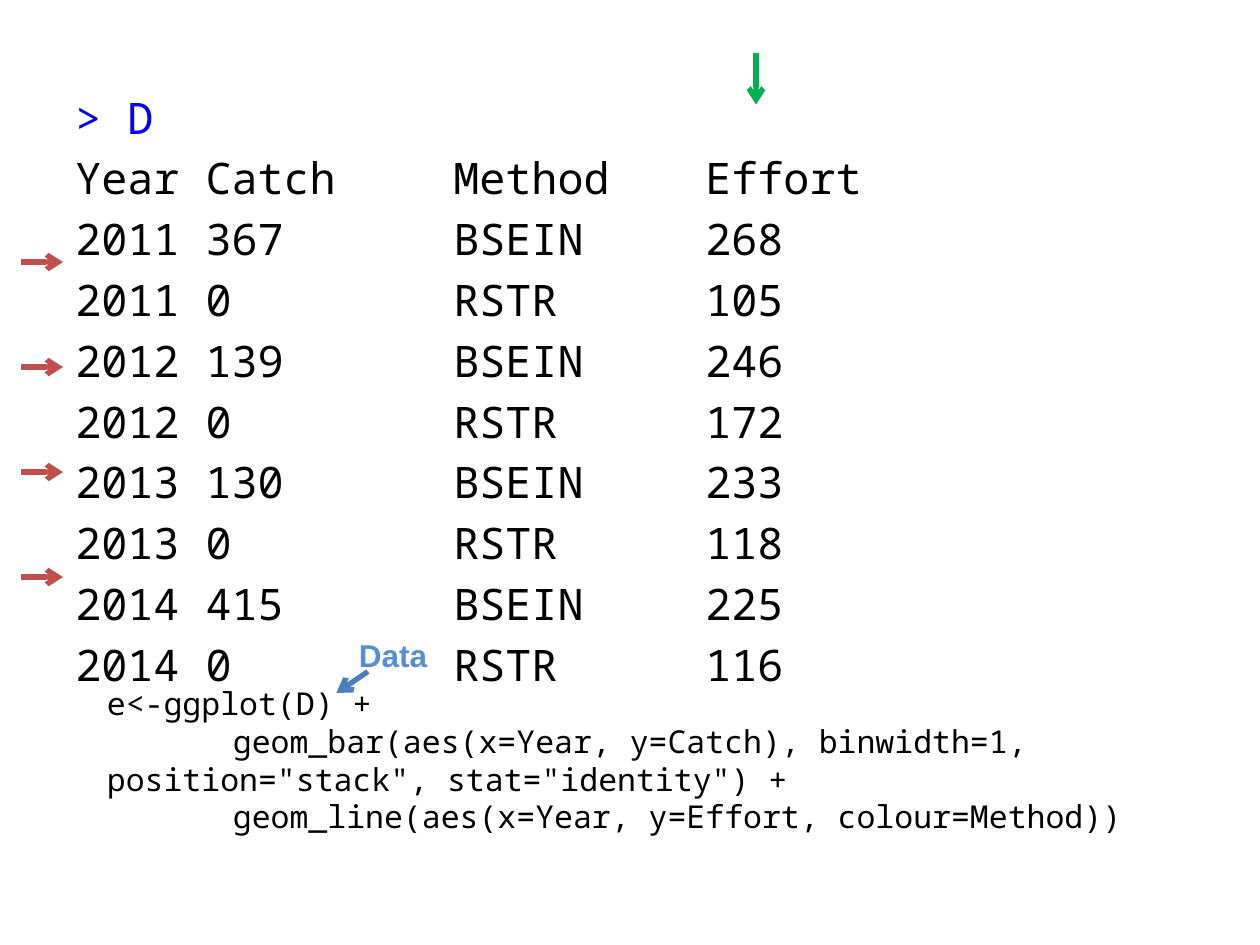
"""Build a slide showing catch data by year and the ggplot code that draws it."""
from lxml.etree import SubElement
from pptx import Presentation
from pptx.dml.color import RGBColor
from pptx.enum.shapes import MSO_CONNECTOR as Connector
from pptx.oxml.ns import qn
from pptx.util import Inches, Pt

BLACK = RGBColor(0x00, 0x00, 0x00)
PROMPT_BLUE = RGBColor(0x00, 0x00, 0xFF)
LABEL_BLUE = RGBColor(0x55, 0x8E, 0xD5)
ARROW_BLUE = RGBColor(0x4B, 0x7E, 0xBC)
RED = RGBColor(0xC0, 0x50, 0x4D)
GREEN = RGBColor(0x00, 0xB0, 0x50)
MONO = "Noto Sans Mono"

presentation = Presentation()
presentation.slide_width = Inches(10)
presentation.slide_height = Inches(7.5)
slide = presentation.slides.add_slide(presentation.slide_layouts[6])


def add_text(text, left, top, width, height, size, font=MONO, color=BLACK,
             first_color=None, bold=False, wrap=True, line=None, gap=0, tabs=()):
    box = slide.shapes.add_textbox(Inches(left), Inches(top), Inches(width), Inches(height))
    frame = box.text_frame
    frame.word_wrap = wrap
    for index, content in enumerate(text.split("\n")):
        paragraph = frame.add_paragraph() if index else frame.paragraphs[0]
        if line:
            paragraph.line_spacing = Pt(line)
        if index and gap:
            paragraph.space_before = Pt(gap)
        if tabs:
            tab_list = SubElement(paragraph._p.get_or_add_pPr(), qn("a:tabLst"))
            for position in tabs:
                SubElement(tab_list, qn("a:tab"), pos=str(Inches(position)), algn="l")
        run = paragraph.add_run()
        run.text = content
        run.font.name = font
        run.font.size = Pt(size)
        run.font.bold = bold
        run.font.color.rgb = first_color if first_color and index == 0 else color


def add_arrow(start_x, start_y, end_x, end_y, color):
    arrow = slide.shapes.add_connector(
        Connector.STRAIGHT, Inches(start_x), Inches(start_y), Inches(end_x), Inches(end_y))
    arrow.line.color.rgb = color
    arrow.line.width = Pt(3)
    SubElement(arrow.line._get_or_add_ln(), qn("a:tailEnd"), type="arrow")
    SubElement(arrow._element.spPr, qn("a:effectLst"))


records = [
    ("Year", "Catch", "Method", "Effort"),
    (2011, 367, "BSEIN", 268),
    (2011, 0, "RSTR", 105),
    (2012, 139, "BSEIN", 246),
    (2012, 0, "RSTR", 172),
    (2013, 130, "BSEIN", 233),
    (2013, 0, "RSTR", 118),
    (2014, 415, "BSEIN", 225),
    (2014, 0, "RSTR", 116),
]
rows = [f"{year} {catch}\t{method}\t{effort}" for year, catch, method, effort in records]
add_text("\n".join(["> D"] + rows), 0.5, 0.67, 9, 4.5, size=24.8,
         first_color=PROMPT_BLUE, line=29.8, gap=4.96, tabs=(3, 5))

code = """e<-ggplot(D) +
\tgeom_bar(aes(x=Year, y=Catch), binwidth=1, position="stack", stat="identity") +
\tgeom_line(aes(x=Year, y=Effort, colour=Method))"""
add_text(code, 0.75, 5.38, 10, 1.62, size=18, line=21.6, tabs=(1,))

for step in range(4):
    arrow_y = 2.08 + step * 2.5 / 3
    add_arrow(0.17, arrow_y, 0.5, arrow_y, RED)

add_arrow(2.92, 5.33, 2.67, 5.5, ARROW_BLUE)
add_text("Data", 2.75, 5, 0.75, 0.4, size=18, font="Arial", color=LABEL_BLUE,
         bold=True, wrap=False)
add_arrow(6, 0.42, 6, 0.83, GREEN)

presentation.save("out.pptx")
